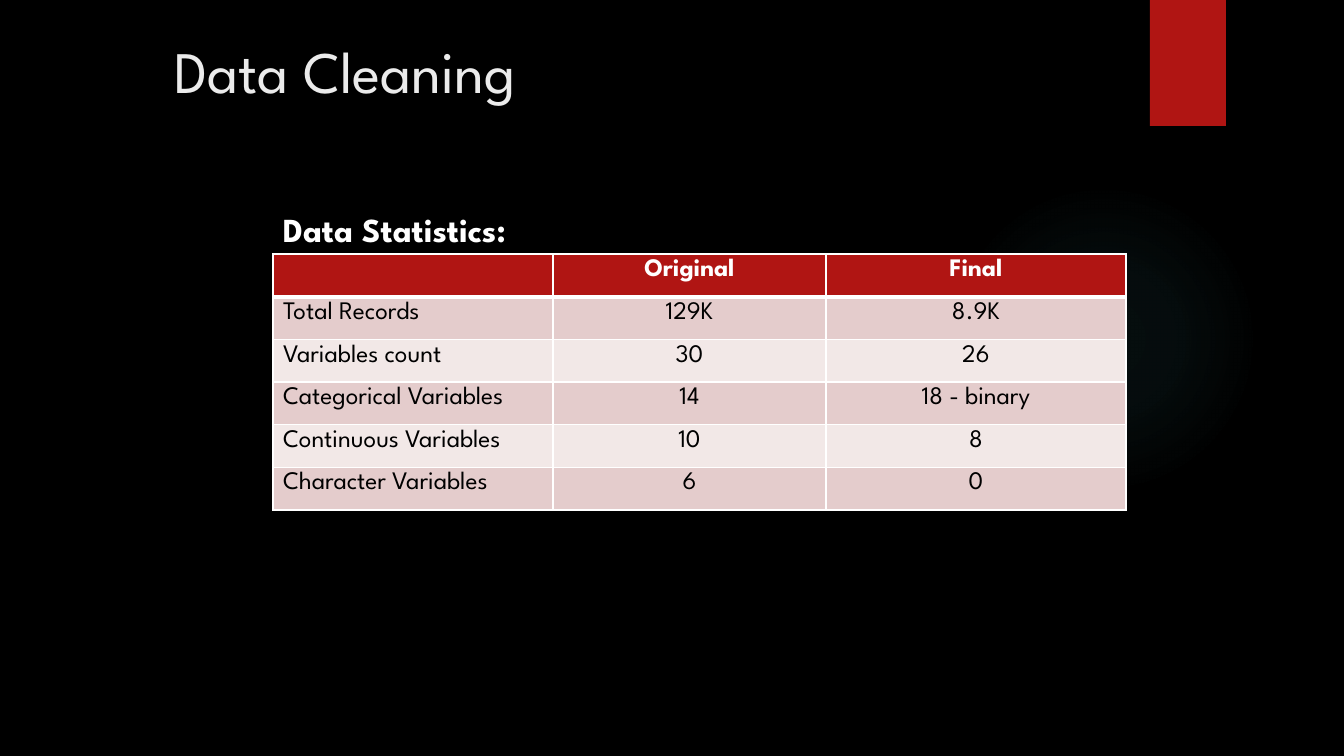
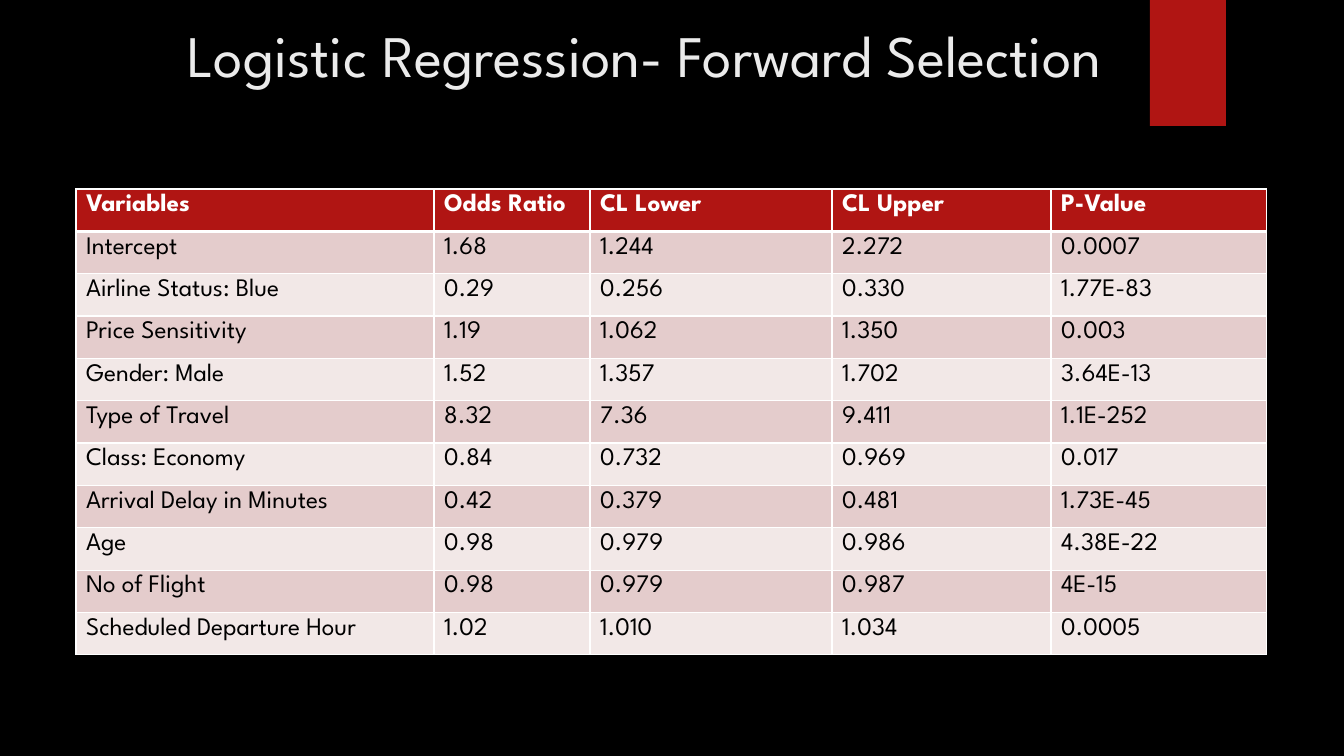
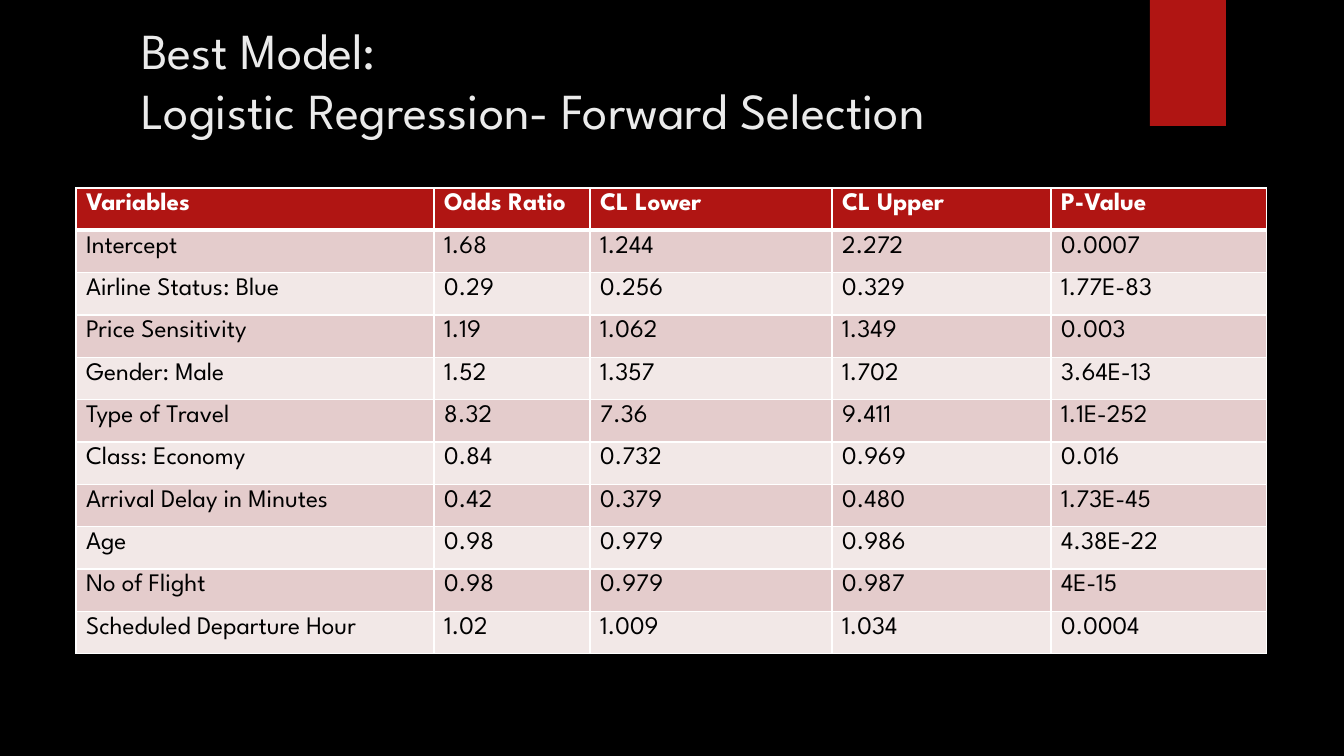
from lxml.etree import SubElement
from pptx import Presentation
from pptx.dml.color import RGBColor
from pptx.enum.shapes import MSO_SHAPE
from pptx.enum.text import MSO_ANCHOR, MSO_AUTO_SIZE, PP_ALIGN
from pptx.oxml import parse_xml
from pptx.oxml.ns import nsdecls, qn
from pptx.util import Emu, Pt

WIDE, HIGH = 1344, 756
SCALE = 12192000 / WIDE
FONT = "League Spartan"
COLORS = {
    "back": "000000",
    "title": "EBEBEB",
    "band": "B01513",
    "glow": "50B9C1",
    "white": "FFFFFF",
    "ink": "000000",
    "odd": "E4CCCC",
    "even": "F2E8E7",
}
GLOW_STOPS = [(0, 7), (36, 6), (69, 0)]


def px(size):
    return Emu(round(size * SCALE))


def rgb(name):
    return RGBColor.from_string(COLORS[name])


class Deck:
    """Holds the shared style and the slide being built."""

    def __init__(self):
        self.prs = Presentation()
        self.prs.slide_width, self.prs.slide_height = px(WIDE), px(HIGH)
        self.slide = None

    def start(self, text, box, size=42):
        self.slide = self.prs.slides.add_slide(self.prs.slide_layouts[5])
        back = self.slide.background.fill
        back.solid()
        back.fore_color.rgb = rgb("back")
        self.glow(949, 184, 310)
        self.band(1150, 0, 76, 126)
        self.title(text, box, size)

    def shape(self, kind, *box):
        shape = self.slide.shapes.add_shape(kind, *map(px, box))
        shape.shadow.inherit = False
        shape.line.fill.background()
        return shape

    def band(self, *box):
        fill = self.shape(MSO_SHAPE.RECTANGLE, *box).fill
        fill.solid()
        fill.fore_color.rgb = rgb("band")

    def glow(self, left, top, size):
        """Add a circle whose faint colour fades out from its centre."""
        shape = self.shape(MSO_SHAPE.OVAL, left, top, size, size)
        stops = "".join(
            f'<a:gs pos="{pos * 1000}"><a:srgbClr val="{COLORS["glow"]}">'
            f'<a:alpha val="{alpha * 1000}"/></a:srgbClr></a:gs>'
            for pos, alpha in GLOW_STOPS
        )
        grad = parse_xml(
            f'<a:gradFill {nsdecls("a")}><a:gsLst>{stops}</a:gsLst>'
            '<a:path path="circle"><a:fillToRect l="50000" t="50000" '
            'r="50000" b="50000"/></a:path></a:gradFill>'
        )
        shape.element.spPr.find(qn("a:prstGeom")).addnext(grad)

    def style(self, par, size, color, bold=False, align=PP_ALIGN.LEFT):
        par.alignment = align
        font = par.font
        font.name, font.size, font.bold = FONT, Pt(size), bold
        font.color.rgb = rgb(color)

    def title(self, text, box, size):
        title = self.slide.shapes.title
        title.left, title.top, title.width, title.height = map(px, box)
        frame = title.text_frame
        frame.text = text
        frame.word_wrap = True
        frame.auto_size = MSO_AUTO_SIZE.NONE
        frame.vertical_anchor = MSO_ANCHOR.TOP
        self.style(frame.paragraphs[0], size, "title")
        self.slide.shapes.element.append(title.element)

    def label(self, text, *box):
        frame = self.slide.shapes.add_textbox(*map(px, box)).text_frame
        frame.word_wrap = True
        frame.text = text
        self.style(frame.paragraphs[0], 24, "white", bold=True)

    def border(self, cell, row):
        """Draw white cell edges, with a thick rule below the header."""
        props = cell._tc.get_or_add_tcPr()
        thick = {0: "B", 1: "T"}.get(row)
        for side in "LRTB":
            width = Pt(3 if side == thick else 1)
            line = SubElement(props, qn(f"a:ln{side}"), w=str(width))
            fill = SubElement(line, qn("a:solidFill"))
            SubElement(fill, qn("a:srgbClr"), val=COLORS["white"])

    def table(self, left, top, height, widths, rows, align=PP_ALIGN.LEFT):
        """Add a table; align applies to all columns but the first."""
        box = map(px, (left, top, sum(widths), height))
        table = self.slide.shapes.add_table(len(rows), len(widths), *box).table
        table.horz_banding = False
        for col, width in zip(table.columns, widths):
            col.width = px(width)
        for i, row in enumerate(rows):
            head = i == 0
            shade = "band" if head else "odd" if i % 2 else "even"
            for j, text in enumerate(row):
                cell = table.cell(i, j)
                self.border(cell, i)
                cell.fill.solid()
                cell.fill.fore_color.rgb = rgb(shade)
                cell.text = text
                self.style(
                    cell.text_frame.paragraphs[0], 18,
                    "white" if head else "ink", head,
                    align if j else PP_ALIGN.LEFT,
                )


STATS = [
    ("", "Original", "Final"),
    ("Total Records", "129K", "8.9K"),
    ("Variables count", "30", "26"),
    ("Categorical Variables", "14", "18 - binary"),
    ("Continuous Variables", "10", "8"),
    ("Character Variables", "6", "0"),
]
ODDS = [
    ("Variables", "Odds Ratio", "CL Lower", "CL Upper", "P-Value"),
    ("Intercept", "1.68", "1.244", "2.272", "0.0007"),
    ("Airline Status: Blue", "0.29", "0.256", "0.330", "1.77E-83"),
    ("Price Sensitivity", "1.19", "1.062", "1.350", "0.003"),
    ("Gender: Male", "1.52", "1.357", "1.702", "3.64E-13"),
    ("Type of Travel", "8.32", "7.36", "9.411", "1.1E-252"),
    ("Class: Economy", "0.84", "0.732", "0.969", "0.017"),
    ("Arrival Delay in Minutes", "0.42", "0.379", "0.481", "1.73E-45"),
    ("Age", "0.98", "0.979", "0.986", "4.38E-22"),
    ("No of Flight", "0.98", "0.979", "0.987", "4E-15"),
    ("Scheduled Departure Hour", "1.02", "1.010", "1.034", "0.0005"),
]
# Values of the best model that differ, by row and column
BEST = {
    (2, 3): "0.329",
    (3, 3): "1.349",
    (6, 4): "0.016",
    (7, 3): "0.480",
    (10, 2): "1.009",
    (10, 4): "0.0004",
}
ODDS_COLS = [358, 156, 242, 219, 216]


def main():
    deck = Deck()

    deck.start("Data Cleaning", (164, 30, 1105, 166))
    deck.table(273, 254, 256, [280, 273, 300], STATS, PP_ALIGN.CENTER)
    deck.label("Data Statistics:", 273, 204, 298, 50)

    deck.start("Logistic Regression- Forward Selection", (177, 14, 1075, 80))
    deck.table(76, 189, 466, ODDS_COLS, ODDS)

    deck.start("Best Model:\vLogistic Regression- Forward Selection",
               (131, 14, 1075, 80), 36)
    best = [[BEST.get((i, j), text) for j, text in enumerate(row)]
            for i, row in enumerate(ODDS)]
    deck.table(76, 188, 466, ODDS_COLS, best)

    deck.prs.save("out.pptx")


if __name__ == "__main__":
    main()
